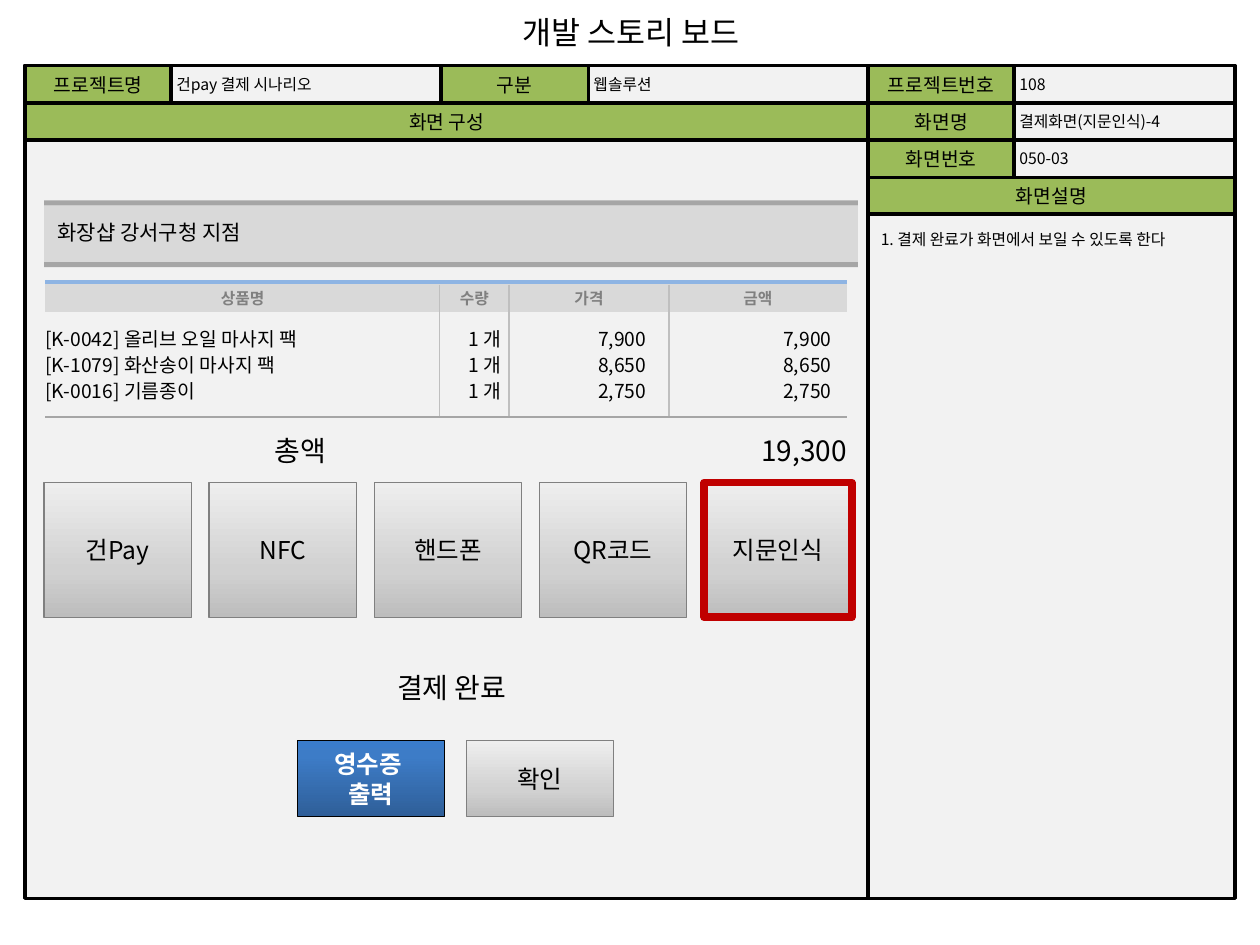
import dataclasses

import lxml.etree
import pptx
import pptx.dml.color
import pptx.enum.shapes
import pptx.enum.text
import pptx.oxml.ns
import pptx.util

ALIGN = pptx.enum.text.PP_ALIGN
ANCHOR = pptx.enum.text.MSO_ANCHOR
inch = pptx.util.Inches
qn = pptx.oxml.ns.qn


@dataclasses.dataclass(frozen=True)
class Theme:
    font: str = "Noto Sans CJK KR"
    black: str = "000000"
    white: str = "FFFFFF"
    panel: str = "F2F2F2"
    label: str = "9BBB59"
    band: str = "D9D9D9"
    rule: str = "A6A6A6"
    column_rule: str = "BFBFBF"
    top_rule: str = "8EB4E3"
    muted: str = "808080"
    selected: str = "C00000"
    grey_button: tuple = ((0, "BDBDBD"), (35, "D1D1D1"), (100, "EEEEEE"))
    blue_button: tuple = ((0, "2F5F99"), (80, "3D7CC7"), (100, "3A7CCB"))
    small: int = 9
    body: int = 11
    shop: int = 12
    button: int = 14
    total: int = 16
    title: int = 18


THEME = Theme()

# Grid lines of the storyboard form
COLS = (0.2, 1.36, 3.5, 4.67, 6.89, 8.05, 9.8)
ROWS = (0.52, 0.82, 1.11, 1.41, 1.7, 7.13)

# Column and row, last column, text, whether the cell is a label
FORM = (
    (0, 0, 1, "프로젝트명", True), (1, 0, 2, "건pay 결제 시나리오", False),
    (2, 0, 3, "구분", True), (3, 0, 4, "웹솔루션", False),
    (4, 0, 5, "프로젝트번호", True), (5, 0, 6, "108", False),
    (0, 1, 4, "화면 구성", True),
    (4, 1, 5, "화면명", True), (5, 1, 6, "결제화면(지문인식)-4", False),
    (4, 2, 5, "화면번호", True), (5, 2, 6, "050-03", False),
    (4, 3, 6, "화면설명", True),
)

# Order list: column edges, right margins and contents
ITEM_EDGES = (0.36, 3.49, 4.04, 5.31, 6.72)
ITEM_MARGINS = (0, 0.06, 0.18, 0.12)
ITEM_HEIGHTS = (0.23, 0.31, 0.21, 0.31)
ITEMS = (
    ("상품명", "수량", "가격", "금액"),
    ("[K-0042] 올리브 오일 마사지 팩", "1 개", "7,900", "7,900"),
    ("[K-1079] 화산송이 마사지 팩", "1 개", "8,650", "8,650"),
    ("[K-0016] 기름종이", "1 개", "2,750", "2,750"),
)
PAYMENTS = ("건Pay", "NFC", "핸드폰", "QR코드", "지문인식")
BUTTON_WIDTH, BUTTON_STEP = 1.17, 1.31


def rgb(color):
    return pptx.dml.color.RGBColor.from_string(color)


def write(frame, text, size, color=THEME.black, bold=False, align=ALIGN.LEFT,
          anchor=ANCHOR.TOP, margins=None):
    frame.text = text
    frame.word_wrap = True
    frame.vertical_anchor = anchor
    if margins is not None:
        frame.margin_left = frame.margin_right = inch(margins)
        frame.margin_top = frame.margin_bottom = inch(margins)
    for paragraph in frame.paragraphs:
        paragraph.alignment = align
        for run in paragraph.runs:
            run.font.size = pptx.util.Pt(size)
            run.font.bold = bold
            run.font.color.rgb = rgb(color)
            run.font.name = THEME.font
            east_asian = lxml.etree.SubElement(run.font._element, qn("a:ea"))
            east_asian.set("typeface", THEME.font)


def outline(line, color, width):
    line.color.rgb = rgb(color)
    line.width = pptx.util.Pt(width)


def add_box(slide, left, top, width, height, fill, border=None, border_width=2):
    box = slide.shapes.add_shape(
        pptx.enum.shapes.MSO_SHAPE.RECTANGLE,
        inch(left), inch(top), inch(width), inch(height))
    box.shadow.inherit = False
    box.fill.solid()
    box.fill.fore_color.rgb = rgb(fill)
    if border:
        outline(box.line, border, border_width)
    else:
        box.line.fill.background()
    return box


def add_button(slide, left, top, height, text, stops=THEME.grey_button,
               border=THEME.muted, border_width=0.75, color=THEME.black, bold=False):
    button = add_box(slide, left, top, BUTTON_WIDTH, height, THEME.band, border, border_width)
    button.fill.gradient()
    button.fill.gradient_angle = 90
    stop_list = button._element.spPr.find(".//" + qn("a:gsLst"))
    for old in list(stop_list):
        stop_list.remove(old)
    for position, shade in stops:
        stop = lxml.etree.SubElement(stop_list, qn("a:gs"), pos=str(position * 1000))
        lxml.etree.SubElement(stop, qn("a:srgbClr"), val=shade)
    write(button.text_frame, text, THEME.button, color, bold, ALIGN.CENTER, ANCHOR.MIDDLE)


def add_text(slide, left, top, width, height, text, size, align=ALIGN.LEFT, margins=0):
    box = slide.shapes.add_textbox(inch(left), inch(top), inch(width), inch(height))
    write(box.text_frame, text, size, align=align, margins=margins)


def add_line(slide, x1, y1, x2, y2, color, width):
    line = slide.shapes.add_connector(
        pptx.enum.shapes.MSO_CONNECTOR.STRAIGHT, inch(x1), inch(y1), inch(x2), inch(y2))
    outline(line.line, color, width)
    lxml.etree.SubElement(line._element.spPr, qn("a:effectLst"))


def place(shape, left, top, width, height):
    shape.left, shape.top = inch(left), inch(top)
    shape.width, shape.height = inch(width), inch(height)
    shape.text_frame.auto_size = pptx.enum.text.MSO_AUTO_SIZE.NONE


def add_form(slide):
    # The frame goes behind the placeholders
    frame = add_box(slide, COLS[0], ROWS[0], COLS[-1] - COLS[0], ROWS[-1] - ROWS[0],
                    THEME.panel, THEME.black)
    slide.shapes._spTree.insert(2, frame._element)
    for column, row, end, text, is_label in FORM:
        cell = add_box(slide, COLS[column], ROWS[row], COLS[end] - COLS[column],
                       ROWS[row + 1] - ROWS[row],
                       THEME.label if is_label else THEME.panel, THEME.black)
        if is_label:
            write(cell.text_frame, text, THEME.body, align=ALIGN.CENTER, anchor=ANCHOR.MIDDLE)
        else:
            write(cell.text_frame, text, THEME.small, anchor=ANCHOR.MIDDLE, margins=0.04)


def fill_placeholders(slide):
    title, description = slide.placeholders
    place(title, 3.93, 0.05, 2.15, 0.4)
    write(title.text_frame, "개발 스토리 보드", THEME.title, align=ALIGN.CENTER)
    title.text_frame.word_wrap = False

    place(description, COLS[4], ROWS[4], COLS[-1] - COLS[4], ROWS[-1] - ROWS[4])
    description.fill.solid()
    description.fill.fore_color.rgb = rgb(THEME.panel)
    outline(description.line, THEME.black, 2)
    write(description.text_frame, "1. 결제 완료가 화면에서 보일 수 있도록 한다", THEME.small)
    note = description.text_frame.paragraphs[0]
    note.line_spacing = 1.5
    note.space_before = pptx.util.Pt(0)
    properties = note._p.get_or_add_pPr()
    properties.set("marL", "0")
    properties.set("indent", "0")
    lxml.etree.SubElement(properties, qn("a:buNone"))


def add_shop_banner(slide):
    for top, height, fill in ((1.63, 0.47, THEME.band), (1.59, 0.04, THEME.rule),
                              (2.08, 0.04, THEME.rule)):
        add_box(slide, 0.35, top, 6.46, height, fill)
    add_text(slide, 0.36, 1.69, 2.43, 0.31, "화장샵 강서구청 지점", THEME.shop, margins=None)


def add_order(slide):
    left, right, top = ITEM_EDGES[0], ITEM_EDGES[-1], 2.25
    order = slide.shapes.add_table(
        len(ITEMS), len(ITEMS[0]), inch(left), inch(top),
        inch(right - left), inch(sum(ITEM_HEIGHTS))).table
    order.first_row = order.horz_banding = False
    # "No style, no grid"
    order._tbl.tblPr.find(qn("a:tableStyleId")).text = "{2D5ABB26-0587-4C30-8999-92F81FD0307C}"
    for column, start, end in zip(order.columns, ITEM_EDGES, ITEM_EDGES[1:]):
        column.width = inch(end - start)
    for r, (height, values) in enumerate(zip(ITEM_HEIGHTS, ITEMS)):
        order.rows[r].height = inch(height)
        for c, value in enumerate(values):
            cell = order.cell(r, c)
            cell.margin_left = cell.margin_top = cell.margin_bottom = 0
            cell.margin_right = inch(ITEM_MARGINS[c] if r else 0)
            if r == 0:
                cell.fill.solid()
                cell.fill.fore_color.rgb = rgb(THEME.band)
                write(cell.text_frame, value, THEME.small, THEME.muted, True, ALIGN.CENTER)
                cell.vertical_anchor = ANCHOR.MIDDLE
            else:
                cell.fill.background()
                write(cell.text_frame, value, THEME.body, align=ALIGN.RIGHT if c else ALIGN.LEFT)
                cell.text_frame.paragraphs[0].line_spacing = pptx.util.Pt(15)
                cell.vertical_anchor = ANCHOR.BOTTOM if r == 1 else ANCHOR.TOP
    # Rules around and between the columns
    add_line(slide, left, 2.24, right, 2.24, THEME.top_rule, 2.25)
    for x in ITEM_EDGES[1:-1]:
        add_line(slide, x, 2.26, x, 3.3, THEME.column_rule, 0.75)
    add_line(slide, left, 3.31, right, 3.31, THEME.rule, 1.5)
    add_text(slide, 0.59, 3.44, 3.59, 0.31, "총액", THEME.total, ALIGN.CENTER)
    add_text(slide, 4.66, 3.44, 2.06, 0.31, "19,300", THEME.total, ALIGN.RIGHT)


def add_payment(slide):
    for i, method in enumerate(PAYMENTS):
        chosen = method == "지문인식"
        add_button(slide, 0.35 + i * BUTTON_STEP, 3.83, 1.07, method,
                   border=THEME.selected if chosen else THEME.muted,
                   border_width=4.5 if chosen else 0.75)
    add_text(slide, 1.79, 5.32, 3.59, 0.31, "결제 완료", THEME.total, ALIGN.CENTER)
    add_button(slide, 3.7, 5.88, 0.6, "확인")
    add_button(slide, 2.36, 5.88, 0.6, "영수증 \n출력", THEME.blue_button,
               THEME.black, color=THEME.white, bold=True)


def main():
    deck = pptx.Presentation()
    deck.slide_width, deck.slide_height = inch(10), inch(7.5)
    slide = deck.slides.add_slide(deck.slide_layouts[1])
    fill_placeholders(slide)
    add_form(slide)
    add_shop_banner(slide)
    add_order(slide)
    add_payment(slide)
    deck.save("out.pptx")


if __name__ == "__main__":
    main()
